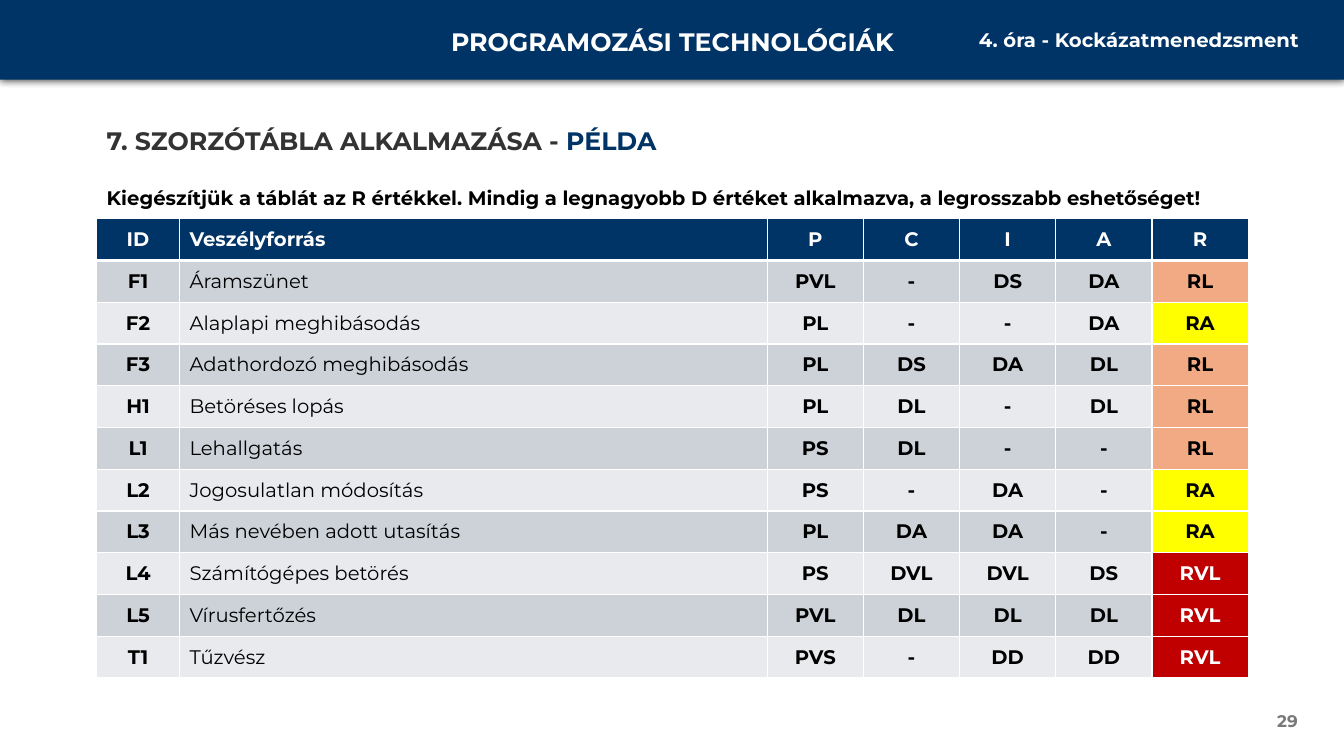
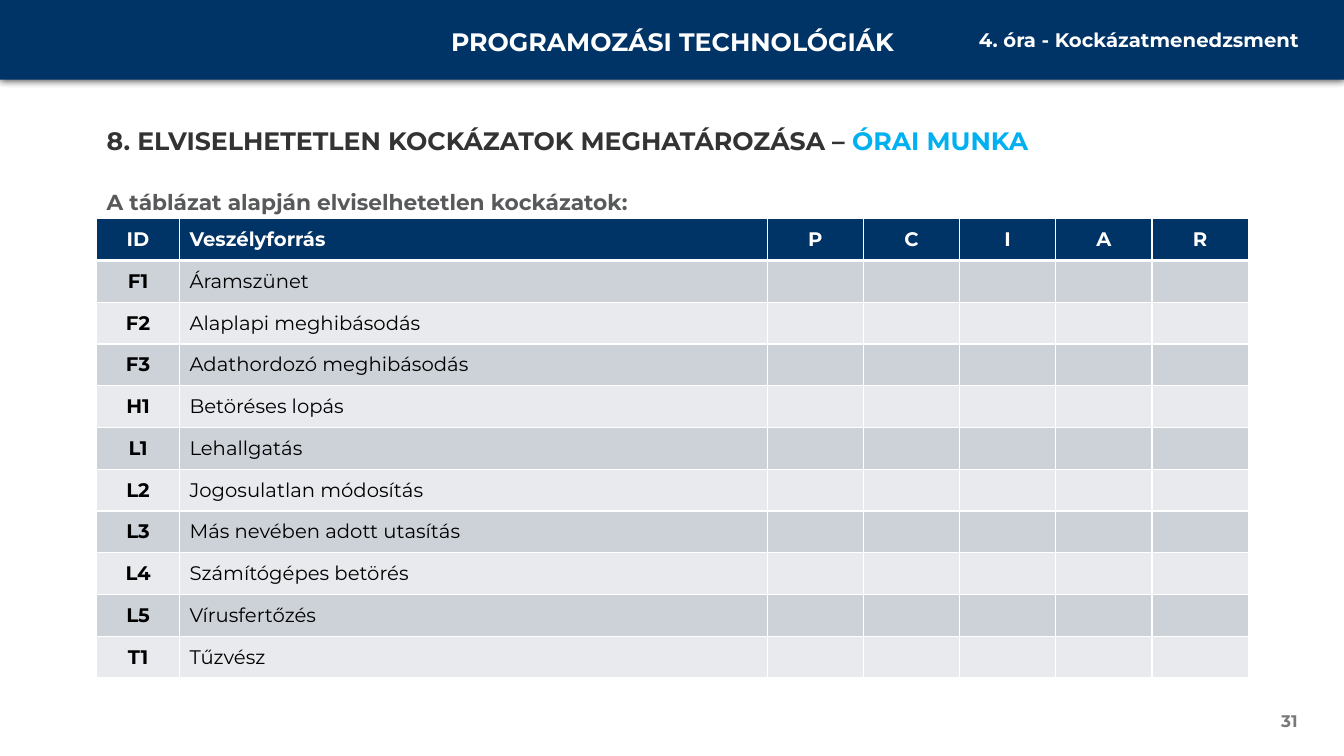
from lxml.etree import SubElement
from pptx import Presentation
from pptx.dml.color import RGBColor
from pptx.enum.shapes import MSO_SHAPE
from pptx.enum.text import MSO_ANCHOR, PP_ALIGN
from pptx.oxml import parse_xml
from pptx.oxml.ns import nsdecls, qn
from pptx.util import Inches, Pt


class Theme:
    """Colours, font and type sizes of the lesson slides."""
    font = "Montserrat"
    navy = "003366"
    sky = "00B0F0"
    white = "FFFFFF"
    black = "000000"
    heading = "333333"
    subtitle = "58595B"
    page_number = "797979"
    stripes = ("CCD2D8", "E8EAED")
    risks = {
        "RL": ("F2AA84", black),
        "RA": ("FFFF00", black),
        "RVL": ("C00000", white),
    }
    title_size = 18
    subtitle_size = 15.5
    body_size = 14
    page_size = 12


HEADERS = ("ID", "Veszélyforrás", "P", "C", "I", "A", "R")
HAZARDS = (
    ("F1", "Áramszünet"),
    ("F2", "Alaplapi meghibásodás"),
    ("F3", "Adathordozó meghibásodás"),
    ("H1", "Betöréses lopás"),
    ("L1", "Lehallgatás"),
    ("L2", "Jogosulatlan módosítás"),
    ("L3", "Más nevében adott utasítás"),
    ("L4", "Számítógépes betörés"),
    ("L5", "Vírusfertőzés"),
    ("T1", "Tűzvész"),
)
RATINGS = (
    ("PVL", "-", "DS", "DA", "RL"),
    ("PL", "-", "-", "DA", "RA"),
    ("PL", "DS", "DA", "DL", "RL"),
    ("PL", "DL", "-", "DL", "RL"),
    ("PS", "DL", "-", "-", "RL"),
    ("PS", "-", "DA", "-", "RA"),
    ("PL", "DA", "DA", "-", "RA"),
    ("PS", "DVL", "DVL", "DS", "RVL"),
    ("PVL", "DL", "DL", "DL", "RVL"),
    ("PVS", "-", "DD", "DD", "RVL"),
)
NO_RATINGS = (("",) * 5,) * len(HAZARDS)


class LessonDeck:
    """Builds lesson slides in one style."""

    def __init__(self, theme):
        self.theme = theme
        self.presentation = Presentation()
        self.presentation.slide_width = Inches(13.33)
        self.presentation.slide_height = Inches(7.5)
        self.slide = None

    def add_slide(self, number, heading, accent, accent_color):
        """Starts a slide with its band, heading and page number."""
        theme = self.theme
        self.slide = self.presentation.slides.add_slide(self.presentation.slide_layouts[6])
        self.add_band()
        self.add_text(4.06, 0.21, 5.22, 0.4, [("PROGRAMOZÁSI TECHNOLÓGIÁK", theme.white)],
                      theme.title_size, PP_ALIGN.CENTER)
        self.add_text(9.37, 0.23, 3.61, 0.34, [("4. óra - Kockázatmenedzsment", theme.white)],
                      theme.body_size, PP_ALIGN.RIGHT)
        self.add_text(0.96, 1.19, 11.42, 0.4, [(heading, theme.heading), (accent, accent_color)],
                      theme.title_size)
        self.add_text(9.97, 6.95, 3, 0.4, [(str(number), theme.page_number)],
                      theme.page_size, PP_ALIGN.RIGHT, MSO_ANCHOR.MIDDLE)

    def add_band(self):
        """Draws the top band with its soft shadow."""
        band = self.slide.shapes.add_shape(
            MSO_SHAPE.RECTANGLE, 0, 0, self.presentation.slide_width, Inches(0.79))
        band.fill.solid()
        band.fill.fore_color.rgb = RGBColor.from_string(self.theme.navy)
        band.line.fill.background()
        band.shadow.inherit = False
        effects = band._element.spPr.find(qn("a:effectLst"))
        shadow = SubElement(effects, qn("a:outerShdw"), blurRad=str(Pt(6)), dist="0",
                            dir="5400000", algn="t", rotWithShape="0")
        color = SubElement(shadow, qn("a:srgbClr"), val=self.theme.black)
        SubElement(color, qn("a:alpha"), val="80000")

    def add_run(self, paragraph, text, size, color, bold=True):
        """Adds one styled run to a paragraph."""
        run = paragraph.add_run()
        run.text = text
        run.font.name = self.theme.font
        run.font.size = Pt(size)
        run.font.bold = bold
        run.font.color.rgb = RGBColor.from_string(color)

    def add_text(self, left, top, width, height, runs, size,
                 alignment=PP_ALIGN.LEFT, anchor=MSO_ANCHOR.TOP, line_spacing=None):
        """Adds a text box holding one paragraph of coloured runs."""
        box = self.slide.shapes.add_textbox(
            Inches(left), Inches(top), Inches(width), Inches(height))
        frame = box.text_frame
        frame.word_wrap = True
        frame.vertical_anchor = anchor
        paragraph = frame.paragraphs[0]
        paragraph.alignment = alignment
        paragraph.line_spacing = line_spacing
        for text, color in runs:
            self.add_run(paragraph, text, size, color)

    def add_borders(self, cell, top=1, bottom=1):
        """Gives a cell white borders."""
        properties = cell._tc.get_or_add_tcPr()
        widths = {"lnL": 1, "lnR": 1, "lnT": top, "lnB": bottom}
        for position, (side, width) in enumerate(widths.items()):
            properties.insert(position, parse_xml(
                f'<a:{side} {nsdecls("a")} w="{Pt(width)}"><a:solidFill>'
                f'<a:srgbClr val="{self.theme.white}"/></a:solidFill></a:{side}>'))

    def fill_cell(self, cell, text, fill, color, bold=True, alignment=PP_ALIGN.CENTER):
        """Sets the fill and text of a table cell."""
        cell.fill.solid()
        cell.fill.fore_color.rgb = RGBColor.from_string(fill)
        cell.vertical_anchor = MSO_ANCHOR.MIDDLE
        paragraph = cell.text_frame.paragraphs[0]
        paragraph.alignment = alignment
        if text:
            self.add_run(paragraph, text, self.theme.body_size, color, bold)

    def add_risk_table(self, ratings):
        """Adds the hazard table with the given ratings."""
        theme = self.theme
        width, height, id_width, name_width = 11.42, 4.56, 0.82, 5.83
        rows = [HEADERS] + [hazard + rating for hazard, rating in zip(HAZARDS, ratings)]
        table = self.slide.shapes.add_table(
            len(rows), len(HEADERS), Inches(0.96), Inches(2.17),
            Inches(width), Inches(height)).table
        rating_count = len(HEADERS) - 2
        rating_width = (width - id_width - name_width) / rating_count
        for column, column_width in zip(
                table.columns, [id_width, name_width] + [rating_width] * rating_count):
            column.width = Inches(column_width)
        for row_index, row in enumerate(rows):
            table.rows[row_index].height = Inches(height / len(rows))
            is_header = row_index == 0
            for column_index, text in enumerate(row):
                cell = table.cell(row_index, column_index)
                is_name = column_index == 1
                if is_header:
                    fill, color = theme.navy, theme.white
                else:
                    stripe = theme.stripes[(row_index - 1) % 2]
                    fill, color = theme.risks.get(text, (stripe, theme.black))
                self.fill_cell(cell, text, fill, color, is_header or not is_name,
                               PP_ALIGN.LEFT if is_name else PP_ALIGN.CENTER)
                self.add_borders(cell, top=3 if row_index == 1 else 1,
                                 bottom=3 if is_header else 1)


def main():
    """Builds the two risk slides."""
    theme = Theme()
    deck = LessonDeck(theme)

    deck.add_slide(29, "7. SZORZÓTÁBLA ALKALMAZÁSA - ", "PÉLDA", theme.navy)
    deck.add_text(0.96, 1.82, 11.42, 0.35, [(
        "Kiegészítjük a táblát az R értékkel. Mindig a legnagyobb D értéket alkalmazva, "
        "a legrosszabb eshetőséget!", theme.black)], theme.body_size, line_spacing=0.9)
    deck.add_risk_table(RATINGS)

    deck.add_slide(31, "8. ELVISELHETETLEN KOCKÁZATOK MEGHATÁROZÁSA – ", "ÓRAI MUNKA", theme.sky)
    deck.add_text(0.96, 1.82, 11.42, 0.35, [
        ("A táblázat alapján elviselhetetlen kockázatok:", theme.subtitle)], theme.subtitle_size)
    deck.add_risk_table(NO_RATINGS)

    deck.presentation.save("out.pptx")


if __name__ == "__main__":
    main()
